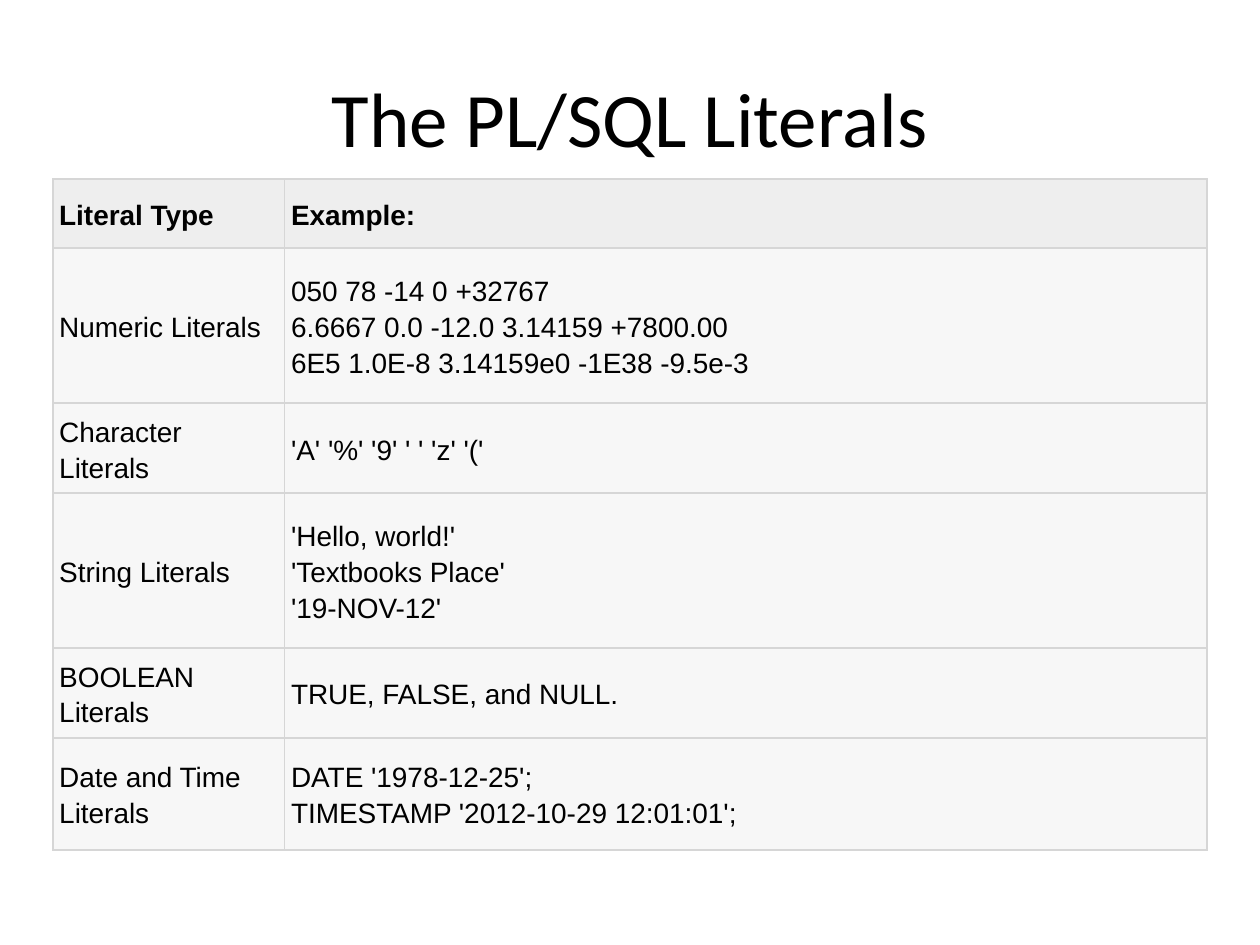
from lxml.etree import SubElement
from pptx import Presentation
from pptx.dml.color import RGBColor
from pptx.enum.text import MSO_ANCHOR, PP_ALIGN
from pptx.oxml.ns import qn
from pptx.util import Inches, Pt

BLACK = RGBColor(0x00, 0x00, 0x00)
HEADER_FILL = RGBColor(0xEE, 0xEE, 0xEE)
BODY_FILL = RGBColor(0xF7, 0xF7, 0xF7)
BORDER = RGBColor(0xD6, 0xD6, 0xD6)

COLUMN_WIDTHS = [1.84, 7.32]
LITERALS = [
    (0.55, "Literal Type", "Example:"),
    (1.23, "Numeric Literals",
     "050 78 -14 0 +32767\n6.6667 0.0 -12.0 3.14159 +7800.00\n6E5 1.0E-8 3.14159e0 -1E38 -9.5e-3"),
    (0.55, "Character Literals", "'A' '%' '9' ' ' 'z' '('"),
    (1.23, "String Literals", "'Hello, world!'\n'Textbooks Place'\n'19-NOV-12'"),
    (0.55, "BOOLEAN Literals", "TRUE, FALSE, and NULL."),
    (0.89, "Date and Time Literals", "DATE '1978-12-25';\nTIMESTAMP '2012-10-29 12:01:01';"),
]


def style_paragraph(paragraph, text, font_name, size, bold=False):
    paragraph.text = text
    paragraph.font.name = font_name
    paragraph.font.size = Pt(size)
    paragraph.font.bold = bold
    paragraph.font.color.rgb = BLACK


def add_title(slide, left, top, width, height):
    frame = slide.shapes.add_textbox(left, top, width, height).text_frame
    frame.word_wrap = True
    frame.vertical_anchor = MSO_ANCHOR.MIDDLE
    paragraph = frame.paragraphs[0]
    style_paragraph(paragraph, "The PL/SQL Literals", "Calibri", 44)
    paragraph.alignment = PP_ALIGN.CENTER


def add_borders(cell):
    properties = cell._tc.get_or_add_tcPr()
    for side in ("a:lnL", "a:lnR", "a:lnT", "a:lnB"):
        line = SubElement(properties, qn(side), w=str(Pt(1)))
        fill = SubElement(line, qn("a:solidFill"))
        SubElement(fill, qn("a:srgbClr"), val=str(BORDER))


def fill_cell(cell, text, is_header):
    cell.margin_left = cell.margin_right = Inches(0.05)
    cell.margin_top = cell.margin_bottom = Inches(0.05)
    cell.vertical_anchor = MSO_ANCHOR.MIDDLE
    add_borders(cell)
    cell.fill.solid()
    cell.fill.fore_color.rgb = HEADER_FILL if is_header else BODY_FILL
    paragraph = cell.text_frame.paragraphs[0]
    style_paragraph(paragraph, text, "Arial", 16, is_header)
    paragraph.line_spacing = 1.15


def add_literals_table(slide, left, top, width, height):
    table = slide.shapes.add_table(
        len(LITERALS), len(COLUMN_WIDTHS), left, top, width, height).table
    table.horz_banding = False
    for column, column_width in zip(table.columns, COLUMN_WIDTHS):
        column.width = Inches(column_width)
    for index, (row_height, *texts) in enumerate(LITERALS):
        row = table.rows[index]
        row.height = Inches(row_height)
        for cell, text in zip(row.cells, texts):
            fill_cell(cell, text, index == 0)


def main():
    presentation = Presentation()
    presentation.slide_width = Inches(10)
    presentation.slide_height = Inches(7.5)
    slide = presentation.slides.add_slide(presentation.slide_layouts[6])
    add_title(slide, Inches(0.5), Inches(0.3), Inches(9), Inches(1.25))
    add_literals_table(slide, Inches(0.42), Inches(1.42), Inches(9.17), Inches(5.34))
    presentation.save("out.pptx")


if __name__ == "__main__":
    main()
